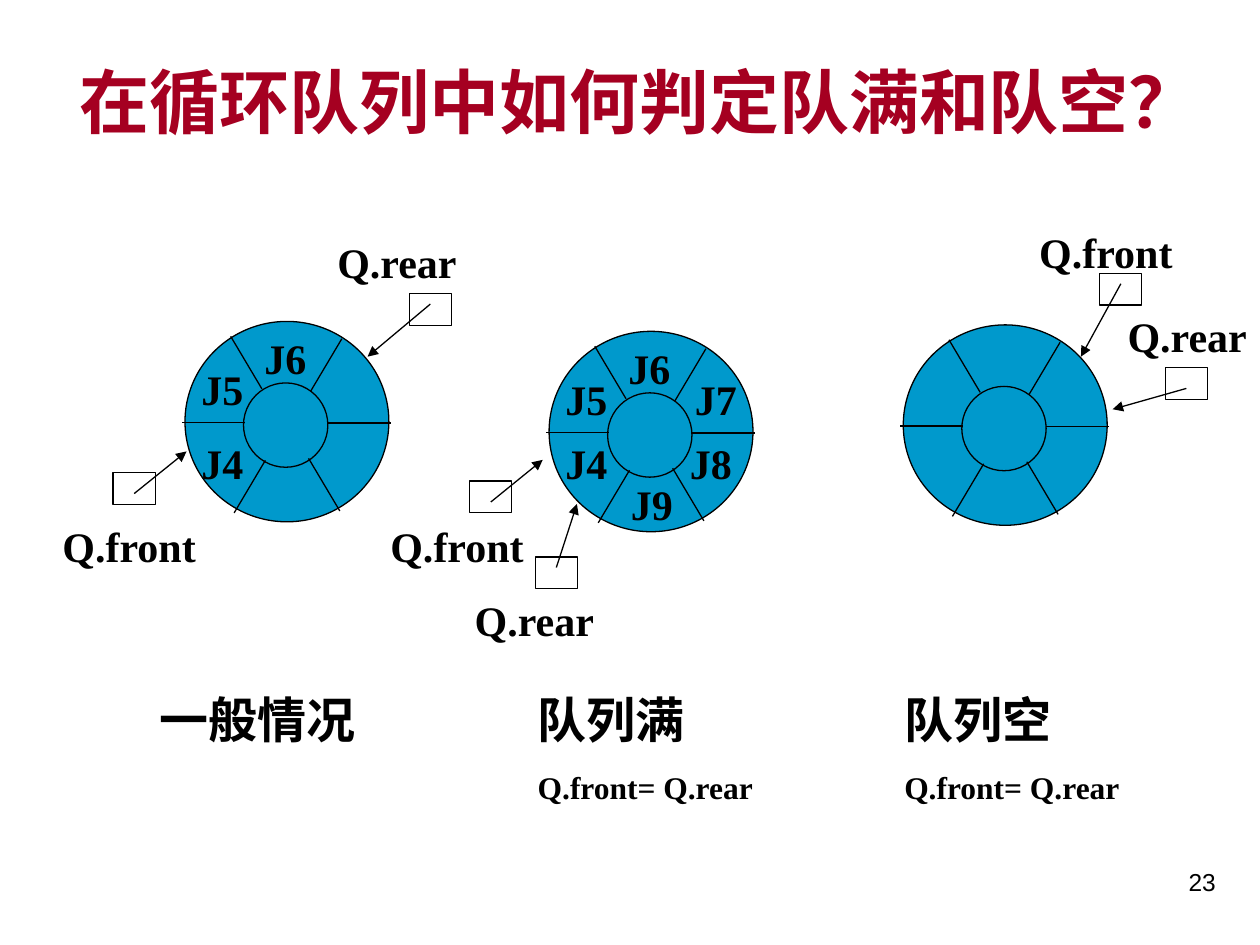
from pptx import Presentation
from pptx import util as u
from pptx.dml.color import RGBColor
from pptx.enum import shapes, text
from pptx.oxml.ns import qn
from lxml import etree

COLORS = {"ink": "000000", "title": "A50021", "ring": "0099CC"}
SERIF = "Times New Roman"
OUTER_W, OUTER_H, INNER = 4.11, 4.04, 1.7
CELL_W, CELL_H = 0.85, 0.64
SPOKES = [
    (-0.06, 2.04, 1.21, 2.04), (2.88, 2.05, 4.15, 2.05),
    (0.92, 0.3, 1.55, 1.36), (3.16, 0.35, 2.53, 1.41),
    (1.62, 2.8, 0.99, 3.86), (2.49, 2.76, 3.12, 3.82),
]
SLOTS = {
    "J4": (0.08, 2.01), "J5": (0.08, 0.73), "J6": (1.35, 0.09),
    "J7": (2.69, 0.73), "J8": (2.59, 2.01), "J9": (1.4, 2.84),
}
LABEL_WIDTHS = {"Q.front": 3.2, "Q.rear": 2.92}
HIGH, LOW = 0.21, 0.42

STATES = [
    {
        "ring": (3.73, 6.48),
        "jobs": {"J5": SLOTS["J5"], "J6": SLOTS["J6"], "J4": (0.08, 2.21)},
        "pointers": [
            ("Q.front", (-1.45, 3.05), LOW, (0.03, 2.62), (-2.72, 3.89)),
            ("Q.rear", (4.52, -0.56), HIGH, (3.68, 0.71), (2.82, -1.83)),
        ],
        "caption": (2.97, 4.88, ["一般情况"]),
    },
    {
        "ring": (11.07, 6.68),
        "jobs": SLOTS,
        "pointers": [
            ("Q.front", (-1.6, 3.02), LOW, (-0.13, 2.59), (-3.45, 3.68)),
            ("Q.rear", (-0.28, 4.55), HIGH, (0.56, 3.48), (-1.75, 5.18)),
        ],
        "caption": (10.59, 6.35, ["队列满", "Q.front= Q.rear"]),
    },
    {
        "ring": (18.21, 6.55),
        "jobs": {},
        "pointers": [
            ("Q.front", (3.96, -1.04), HIGH, (3.58, 0.64), (2.49, -2.11)),
            ("Q.rear", (5.28, 0.86), LOW, (4.22, 1.7), (4.27, -0.41)),
        ],
        "caption": (17.98, 5.92, ["队列空", "Q.front= Q.rear"]),
    },
]


def color(name):
    return RGBColor.from_string(COLORS[name])


def style(paragraph, size, font=SERIF, bold=True, ink="ink"):
    paragraph.font.size = u.Pt(size)
    paragraph.font.name = font
    paragraph.font.bold = bold
    paragraph.font.color.rgb = color(ink)


def add_label(slide, words, left, top, width, height=1.27, size=24, wrap=True, **look):
    label = slide.shapes.add_textbox(u.Cm(left), u.Cm(top), u.Cm(width), u.Cm(height))
    label.text_frame.word_wrap = wrap
    paragraph = label.text_frame.paragraphs[0]
    paragraph.text = words
    style(paragraph, size, **look)
    return label.text_frame


def add_outline(slide, kind, left, top, width, height, fill=None):
    outline = slide.shapes.add_shape(kind, u.Cm(left), u.Cm(top), u.Cm(width), u.Cm(height))
    outline.shadow.inherit = False
    if fill:
        outline.fill.solid()
        outline.fill.fore_color.rgb = color(fill)
    else:
        outline.fill.background()
    outline.line.color.rgb = color("ink")
    outline.line.width = u.Pt(0.75)


def add_line(slide, x1, y1, x2, y2, arrow=False):
    line = slide.shapes.add_connector(
        shapes.MSO_CONNECTOR.STRAIGHT, u.Cm(x1), u.Cm(y1), u.Cm(x2), u.Cm(y2))
    line.line.color.rgb = color("ink")
    line.line.width = u.Pt(0.75)
    if arrow:
        etree.SubElement(line.line._get_or_add_ln(), qn("a:tailEnd"), type="triangle")
    etree.SubElement(line._element.spPr, qn("a:effectLst"))


def add_ring(slide, left, top, jobs):
    oval = shapes.MSO_SHAPE.OVAL
    add_outline(slide, oval, left, top, OUTER_W, OUTER_H, "ring")
    add_outline(slide, oval, left + 1.18, top + 1.24, INNER, INNER, "ring")
    for x1, y1, x2, y2 in SPOKES:
        add_line(slide, left + x1, top + y1, left + x2, top + y2)
    for job, (x, y) in jobs.items():
        add_label(slide, job, left + x, top + y, 1.91)


def add_pointer(slide, left, top, name, cell, start, tip, label):
    x, y = left + cell[0], top + cell[1]
    add_outline(slide, shapes.MSO_SHAPE.RECTANGLE, x, y, CELL_W, CELL_H)
    add_line(slide, x + CELL_W / 2, y + start, left + tip[0], top + tip[1], arrow=True)
    add_label(slide, name, left + label[0], top + label[1], LABEL_WIDTHS[name], wrap=False)


def add_caption(slide, left, width, lines):
    frame = add_label(slide, lines[0], left, 13.77, width, 1.45, size=28)
    for words in lines[1:]:
        condition = frame.add_paragraph()
        condition.text = words
        condition.space_before = u.Pt(11.2)
        style(condition, 18)


def add_title(slide, words, left, top, width, height):
    title = slide.shapes.title
    title.left, title.top, title.width, title.height = map(u.Cm, (left, top, width, height))
    frame = title.text_frame
    frame.text = words
    frame.word_wrap = True
    frame.auto_size = text.MSO_AUTO_SIZE.NONE
    frame.vertical_anchor = text.MSO_ANCHOR.TOP
    frame.paragraphs[0].alignment = text.PP_ALIGN.CENTER
    style(frame.paragraphs[0], 40, ink="title")


def add_page_number(slide, number, left, top, width):
    frame = add_label(slide, number, left, top, width, size=14, font="Arial", bold=False)
    frame.paragraphs[0].alignment = text.PP_ALIGN.RIGHT


def main():
    deck = Presentation()
    deck.slide_width, deck.slide_height = u.Cm(25.4), u.Cm(19.05)
    slide = deck.slides.add_slide(deck.slide_layouts[5])
    add_title(slide, "在循环队列中如何判定队满和队空？", 1.27, 1.06, 23.24, 1.96)
    for state in STATES:
        add_ring(slide, *state["ring"], state["jobs"])
        for pointer in state["pointers"]:
            add_pointer(slide, *state["ring"], *pointer)
        add_caption(slide, *state["caption"])
    add_page_number(slide, "23", 19.47, 17.36, 5.29)
    deck.save("out.pptx")


if __name__ == "__main__":
    main()
